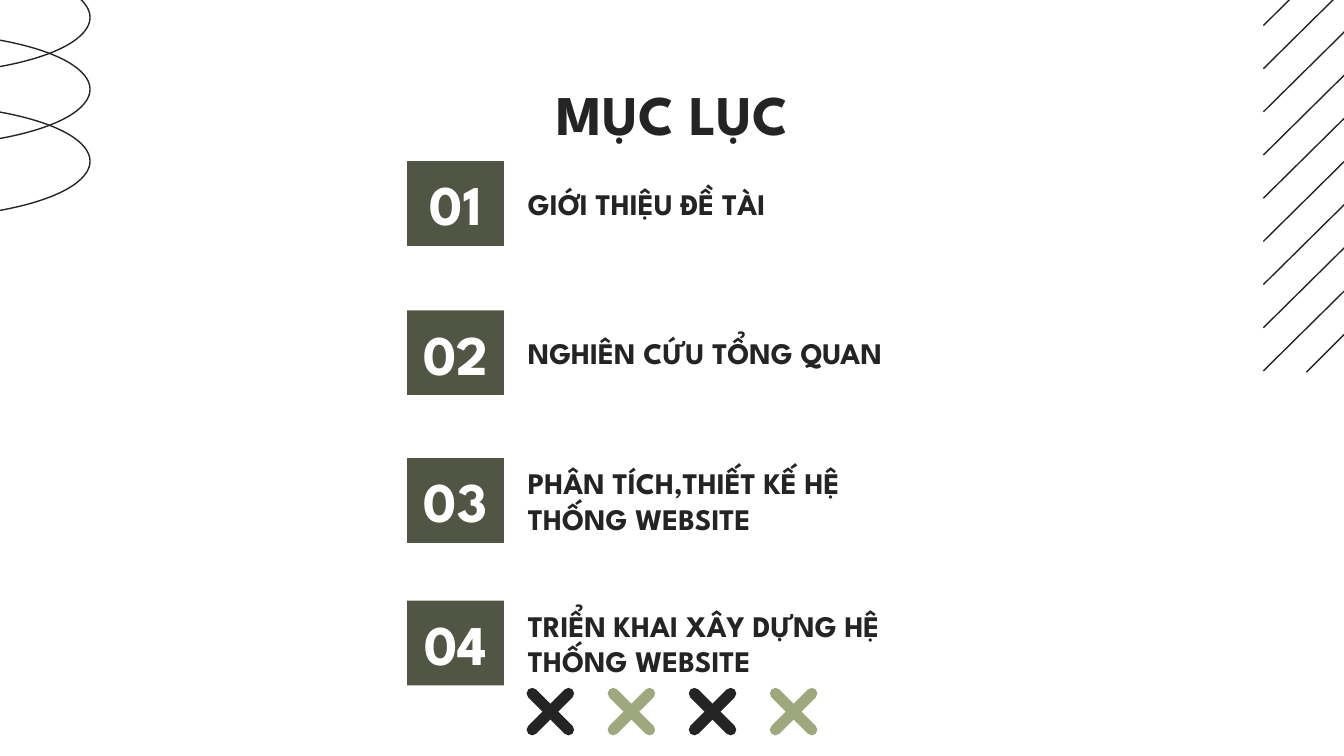
from dataclasses import dataclass

from pptx import Presentation
from pptx import util as u
from pptx.dml import color
from pptx.enum import shapes, text
from pptx.oxml import xmlchemy

FONT = "League Spartan"
INK = "242424"
OLIVE = "515544"
SAGE = "9DA87C"
WHITE = "FFFFFF"


@dataclass
class Entry:
    number: str
    heading: str
    top: float
    width: float = 3.1


@dataclass
class Stroke:
    x1: float
    y1: float
    x2: float
    y2: float
    hue: str = INK
    weight: float = 0.75
    cap: str = "flat"


ENTRIES = [
    Entry("01", "GIỚI THIỆU ĐỀ TÀI", 1.2),
    Entry("02", "NGHIÊN CỨU TỔNG QUAN", 2.31, 3.34),
    Entry("03", "PHÂN TÍCH,THIẾT KẾ HỆ THỐNG WEBSITE", 3.41),
    Entry("04", "TRIỂN KHAI XÂY DỰNG HỆ THỐNG WEBSITE", 4.47),
]


def rgb(value: str) -> color.RGBColor:
    return color.RGBColor.from_string(value)


def write(shape, words: str, *, size: float, hue: str = INK,
          align=text.PP_ALIGN.LEFT, anchor=text.MSO_ANCHOR.MIDDLE) -> None:
    frame = shape.text_frame
    frame.word_wrap = True
    frame.auto_size = text.MSO_AUTO_SIZE.NONE
    frame.vertical_anchor = anchor
    frame.margin_left = frame.margin_right = u.Inches(0.1)
    frame.margin_top = frame.margin_bottom = u.Inches(0.1)
    paragraph = frame.paragraphs[0]
    paragraph.alignment = align
    run = paragraph.add_run()
    run.text = words
    run.font.name = FONT
    run.font.size = u.Pt(size)
    run.font.bold = True
    run.font.color.rgb = rgb(hue)


def draw_ring(slide, top: float) -> None:
    ring = slide.shapes.add_shape(
        shapes.MSO_SHAPE.OVAL,
        u.Inches(-1.97), u.Inches(top), u.Inches(2.64), u.Inches(0.84))
    ring.shadow.inherit = False
    ring.fill.background()
    ring.line.color.rgb = rgb(INK)
    ring.line.width = u.Pt(0.75)


def draw_stroke(slide, stroke: Stroke) -> None:
    line = slide.shapes.add_connector(
        shapes.MSO_CONNECTOR.STRAIGHT,
        u.Inches(stroke.x1), u.Inches(stroke.y1),
        u.Inches(stroke.x2), u.Inches(stroke.y2))
    line.line.color.rgb = rgb(stroke.hue)
    line.line.width = u.Pt(stroke.weight)
    line.get_or_add_ln().set("cap", stroke.cap)
    line.element.spPr.append(xmlchemy.OxmlElement("a:effectLst"))


def draw_cross(slide, left: float, hue: str) -> None:
    top, side = 5.16, 0.27
    for start, end in ((top, top + side), (top + side, top)):
        draw_stroke(slide, Stroke(left, start, left + side, end, hue, 6, "rnd"))


def draw_entry(slide, entry: Entry) -> None:
    badge = slide.shapes.add_shape(
        shapes.MSO_SHAPE.RECTANGLE,
        u.Inches(3.03), u.Inches(entry.top), u.Inches(0.72), u.Inches(0.63))
    badge.shadow.inherit = False
    badge.fill.solid()
    badge.fill.fore_color.rgb = rgb(OLIVE)
    badge.line.fill.background()
    write(badge, entry.number, size=30, hue=WHITE, align=text.PP_ALIGN.CENTER)
    heading = slide.shapes.add_textbox(
        u.Inches(3.83), u.Inches(entry.top + 0.05),
        u.Inches(entry.width), u.Inches(0.53))
    write(heading, entry.heading, size=16)


def main() -> None:
    deck = Presentation()
    deck.slide_width = u.Inches(10)
    deck.slide_height = deck.slide_width * 9 // 16
    slide = deck.slides.add_slide(deck.slide_layouts[5])

    for row in range(3):
        draw_ring(slide, 0.78 - 1.07 / 2 * row)

    stripe_gap = 2.57 / 8
    for row in range(9):
        top = -0.61 + stripe_gap * row
        draw_stroke(slide, Stroke(10.21, top, 9.4, top + 0.8))
    draw_stroke(slide, Stroke(10.2, 2.29, 9.72, 2.77))

    cross_gap = 1.81 / 3
    for column, hue in enumerate((INK, SAGE) * 2):
        draw_cross(slide, 3.96 + cross_gap * column, hue)

    title = slide.shapes.title
    title.left, title.top = u.Inches(0.79), u.Inches(0.49)
    title.width, title.height = u.Inches(8.43), u.Inches(0.63)
    write(title, "MỤC LỤC", size=30, align=text.PP_ALIGN.CENTER,
          anchor=text.MSO_ANCHOR.TOP)

    for entry in ENTRIES:
        draw_entry(slide, entry)

    deck.save("out.pptx")


if __name__ == "__main__":
    main()
